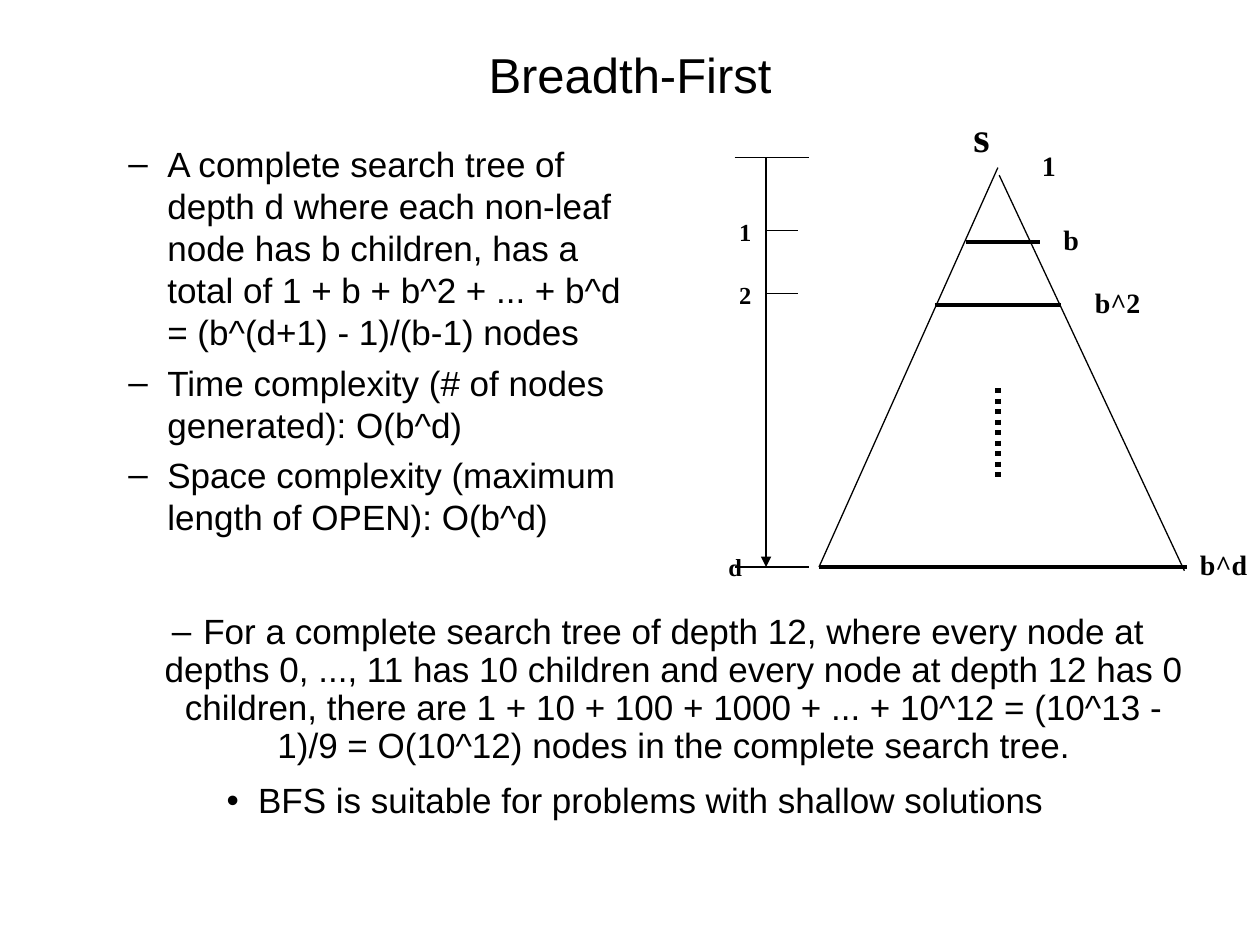
"""Build the Breadth-First search complexity slide."""
from lxml.etree import SubElement
from pptx import Presentation
from pptx.dml.color import RGBColor
from pptx.enum.dml import MSO_LINE_DASH_STYLE as DASH
from pptx.enum.shapes import MSO_CONNECTOR as CONNECTOR
from pptx.enum.text import MSO_ANCHOR as ANCHOR, MSO_AUTO_SIZE as AUTO_SIZE, PP_ALIGN as ALIGN
from pptx.oxml.ns import qn
from pptx.util import Inches, Pt

BLACK = RGBColor(0, 0, 0)
TITLE_FONT = {"name": "Arial", "size": Pt(28)}
BODY_FONT = {"name": "Arial", "size": Pt(20)}

presentation = Presentation()
presentation.slide_width = Inches(10)
presentation.slide_height = Inches(7.5)
slide = presentation.slides.add_slide(presentation.slide_layouts[6])


def add_text(box, paragraphs, font, frame_format):
    shape = slide.shapes.add_textbox(*map(Inches, box))
    frame = shape.text_frame
    for name, value in ({"word_wrap": True} | frame_format).items():
        setattr(frame, name, value)
    for index, (text, paragraph_format, bullet) in enumerate(paragraphs):
        paragraph = frame.add_paragraph() if index else frame.paragraphs[0]
        run = paragraph.add_run()
        run.text = text
        run.font.color.rgb = BLACK
        for name, value in font.items():
            setattr(run.font, name, value)
        for name, value in paragraph_format.items():
            setattr(paragraph, name, value)
        if bullet:
            character, margin, indent = bullet
            properties = paragraph._p.get_or_add_pPr()
            properties.set("marL", str(Inches(margin)))
            properties.set("indent", str(Inches(indent)))
            color = SubElement(properties, qn("a:buClr"))
            SubElement(color, qn("a:srgbClr"), val=str(BLACK))
            SubElement(properties, qn("a:buFont"), typeface="Arial")
            SubElement(properties, qn("a:buChar"), char=character)


def add_line(start_x, start_y, end_x, end_y, width=0.75):
    ends = map(Inches, (start_x, start_y, end_x, end_y))
    connector = slide.shapes.add_connector(CONNECTOR.STRAIGHT, *ends)
    connector.line.color.rgb = BLACK
    connector.line.width = Pt(width)
    SubElement(connector._element.spPr, qn("a:effectLst"))
    return connector


add_text((0.75, 0.25, 8.5, 0.67), [("Breadth-First", {"alignment": ALIGN.CENTER}, None)],
         TITLE_FONT, {"vertical_anchor": ANCHOR.MIDDLE})

complexity_points = [
    "A complete search tree of depth d where each non-leaf node has b children, has a total of "
    "1 + b + b^2 + ... + b^d = (b^(d+1) - 1)/(b-1) nodes",
    "Time complexity (# of nodes generated): O(b^d)",
    "Space complexity (maximum length of OPEN): O(b^d)",
]
point_format = {"level": 1, "alignment": ALIGN.LEFT, "space_before": Pt(5)}
add_text((0.42, 1.08, 4.83, 3.67),
         [(text, point_format, ("–", 0.81, -0.31)) for text in complexity_points], BODY_FONT, {})

add_line(7.92, 1.33, 6.5, 4.5)
add_line(7.93, 1.39, 9.4, 4.53)
for left, right, y in [(6.5, 9.42, 4.5), (7.67, 8.25, 1.92), (7.42, 8.42, 2.42)]:
    add_line(left, y, right, y, 2.25)
add_line(7.92, 3.08, 7.92, 3.83, 3).line.dash_style = DASH.ROUND_DOT

for left, right, y in [(5.83, 6.42, 1.25), (6.08, 6.33, 1.83), (6.08, 6.33, 2.33), (5.83, 6.42, 4.5)]:
    add_line(left, y, right, y)
depth_arrow = add_line(6.08, 1.25, 6.08, 4.5)
SubElement(depth_arrow.line._get_or_add_ln(), qn("a:tailEnd"), type="triangle")

labels = [
    ("s", (7.58, 0.83, 0.42, 0.5), 24, 15, True),
    ("1", (8.17, 1.13, 0.31, 0.37), 16, 0, False),
    ("b", (8.34, 1.72, 0.32, 0.37), 16, 0, False),
    ("b^2", (8.58, 2.22, 0.58, 0.37), 16, 0, True),
    ("b^d", (9.42, 4.3, 0.58, 0.37), 16, 0, True),
    ("1", (5.75, 1.67, 0.33, 0.34), 14, 8.8, True),
    ("2", (5.75, 2.17, 0.33, 0.34), 14, 8.8, True),
    ("d", (5.67, 4.33, 0.33, 0.34), 14, 8.8, True),
]
for text, box, size, space, wrap in labels:
    label_format = {"alignment": ALIGN.CENTER, "space_before": Pt(space)}
    add_text(box, [(text, label_format, None)],
             {"name": "Times New Roman", "size": Pt(size), "bold": True},
             {"word_wrap": wrap, "auto_size": AUTO_SIZE.SHAPE_TO_FIT_TEXT})

example_format = {"alignment": ALIGN.CENTER, "line_spacing": 0.9}
add_text((0.5, 4.83, 9.08, 2.33), [
    ("For a complete search tree of depth 12, where every node at depths 0, ..., 11 has 10 children "
     "and every node at depth 12 has 0 children, there are 1 + 10 + 100 + 1000 + ... + 10^12 = "
     "(10^13 - 1)/9 = O(10^12) nodes in the complete search tree.",
     example_format | {"level": 1, "space_before": Pt(5)}, ("–", 0.62, -0.25)),
    ("BFS is suitable for problems with shallow solutions",
     example_format | {"space_before": Pt(10)}, ("•", 0.25, -0.25)),
], BODY_FONT, {})

presentation.save("out.pptx")
